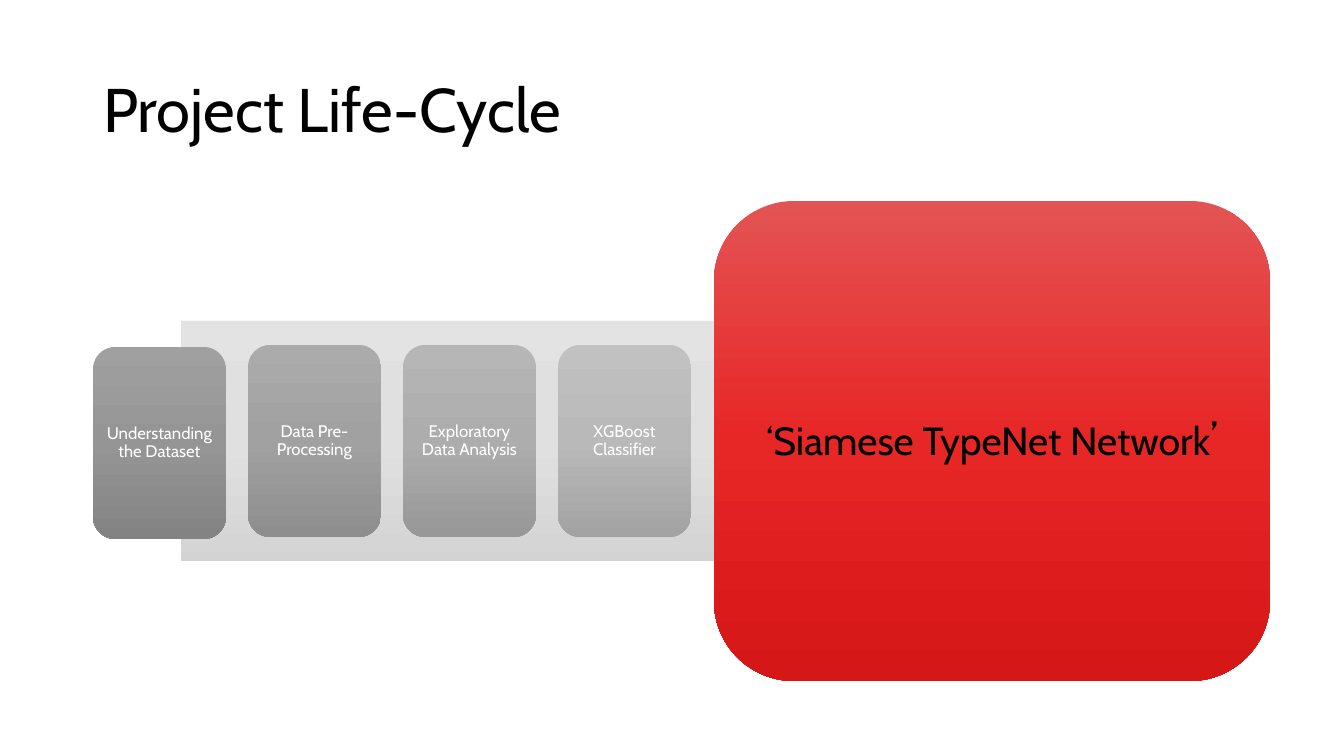
import copy

import pptx
import pptx.dml.color
import pptx.enum.shapes
import pptx.enum.text
import pptx.oxml.ns
import pptx.util

SCALE = 12192000 / 1344  # EMU per px
FONT = "Cabin"
COLORS = {
    "black": "000000",
    "white": "FFFFFF",
    "arrow": ["E6E6E6", "E0E0E0", "C5C5C5"],
    "red": ["E45353", "E72626", "D61717"],
}
STEPS = [
    ("Understanding the Dataset", 347, ["A0A0A0", "959595", "838383"]),
    ("Data Pre-Processing", 345, ["ABABAB", "A1A1A1", "8E8E8E"]),
    ("Exploratory Data Analysis", 345, ["B6B6B6", "ADADAD", "989898"]),
    ("XGBoost Classifier", 345, ["C1C1C1", "B9B9B9", "A3A3A3"]),
]
SHAPES = pptx.enum.shapes.MSO_SHAPE


def add_block(kind, box, stops, inset=0):
    """Add a borderless shape with a three-stop vertical gradient."""
    sp = slide.shapes.add_shape(kind, *[round(n * SCALE) for n in box])
    sp.shadow.inherit = False
    sp.line.fill.background()
    sp.fill.gradient()
    sp.fill.gradient_angle = 270
    gs_list = sp._element.spPr.find(".//" + pptx.oxml.ns.qn("a:gsLst"))
    gs_list.insert(1, copy.deepcopy(gs_list[0]))
    for i, stop in enumerate(sp.fill.gradient_stops):
        stop.position = i / 2
        stop.color.rgb = pptx.dml.color.RGBColor.from_string(stops[i])
    tf = sp.text_frame
    tf.word_wrap = True
    tf.vertical_anchor = pptx.enum.text.MSO_ANCHOR.MIDDLE
    tf.margin_left = tf.margin_right = round(inset * SCALE)
    tf.margin_top = tf.margin_bottom = round(inset * SCALE)
    return sp


def style(p, size, color, align):
    p.alignment = align
    p.line_spacing = 0.9
    p.font.name = FONT
    p.font.size = pptx.util.Pt(size)
    p.font.color.rgb = pptx.dml.color.RGBColor.from_string(COLORS[color])


prs = pptx.Presentation()
prs.slide_width = round(1344 * SCALE)
prs.slide_height = round(756 * SCALE)
slide = prs.slides.add_slide(prs.slide_layouts[5])

# Title
title = slide.shapes.title
title.left, title.top, title.width, title.height = [
    round(n * SCALE) for n in (93, 40, 1159, 146)]
tf = title.text_frame
tf.text = "Project Life-Cycle"
tf.auto_size = pptx.enum.text.MSO_AUTO_SIZE.NONE
tf.vertical_anchor = pptx.enum.text.MSO_ANCHOR.MIDDLE
style(tf.paragraphs[0], 44, "black", pptx.enum.text.PP_ALIGN.LEFT)

# Arrow behind the steps
add_block(SHAPES.RIGHT_ARROW, (181, 201, 1002, 480), COLORS["arrow"])

# Finished steps
for i, (text, top, stops) in enumerate(STEPS):
    sp = add_block(SHAPES.ROUNDED_RECTANGLE, (93 + 155 * i, top, 133, 192), stops, 5)
    p = sp.text_frame.paragraphs[0]
    p.text = text
    style(p, 12, "white", pptx.enum.text.PP_ALIGN.CENTER)

# Current step, with a larger closing quote
sp = add_block(SHAPES.ROUNDED_RECTANGLE, (714, 201, 556, 480), COLORS["red"], 8)
p = sp.text_frame.paragraphs[0]
style(p, 28, "black", pptx.enum.text.PP_ALIGN.CENTER)
for text, size in (("‘Siamese TypeNet Network", 28), ("’", 32)):
    r = p.add_run()
    r.text = text
    r.font.size = pptx.util.Pt(size)

prs.save("out.pptx")
